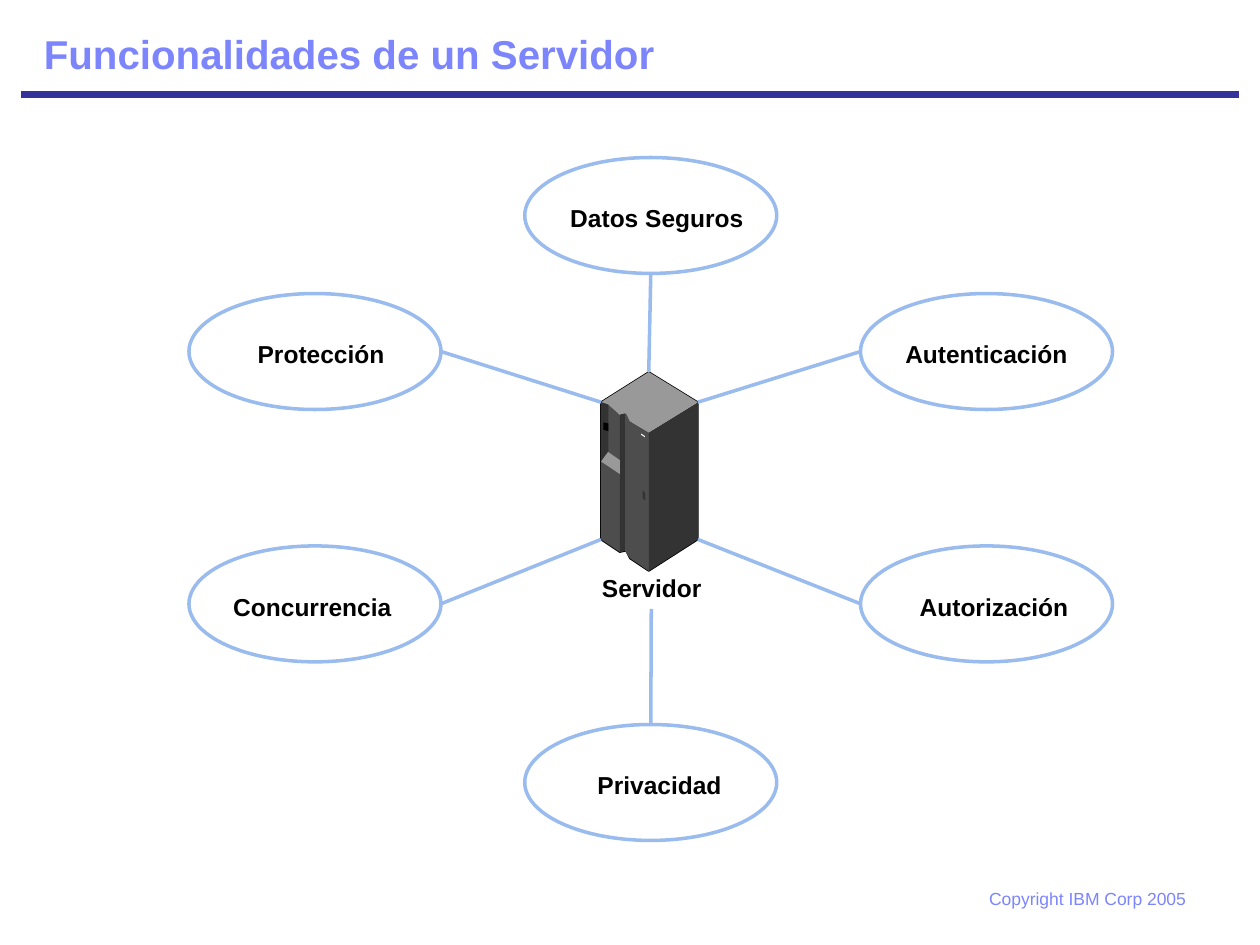
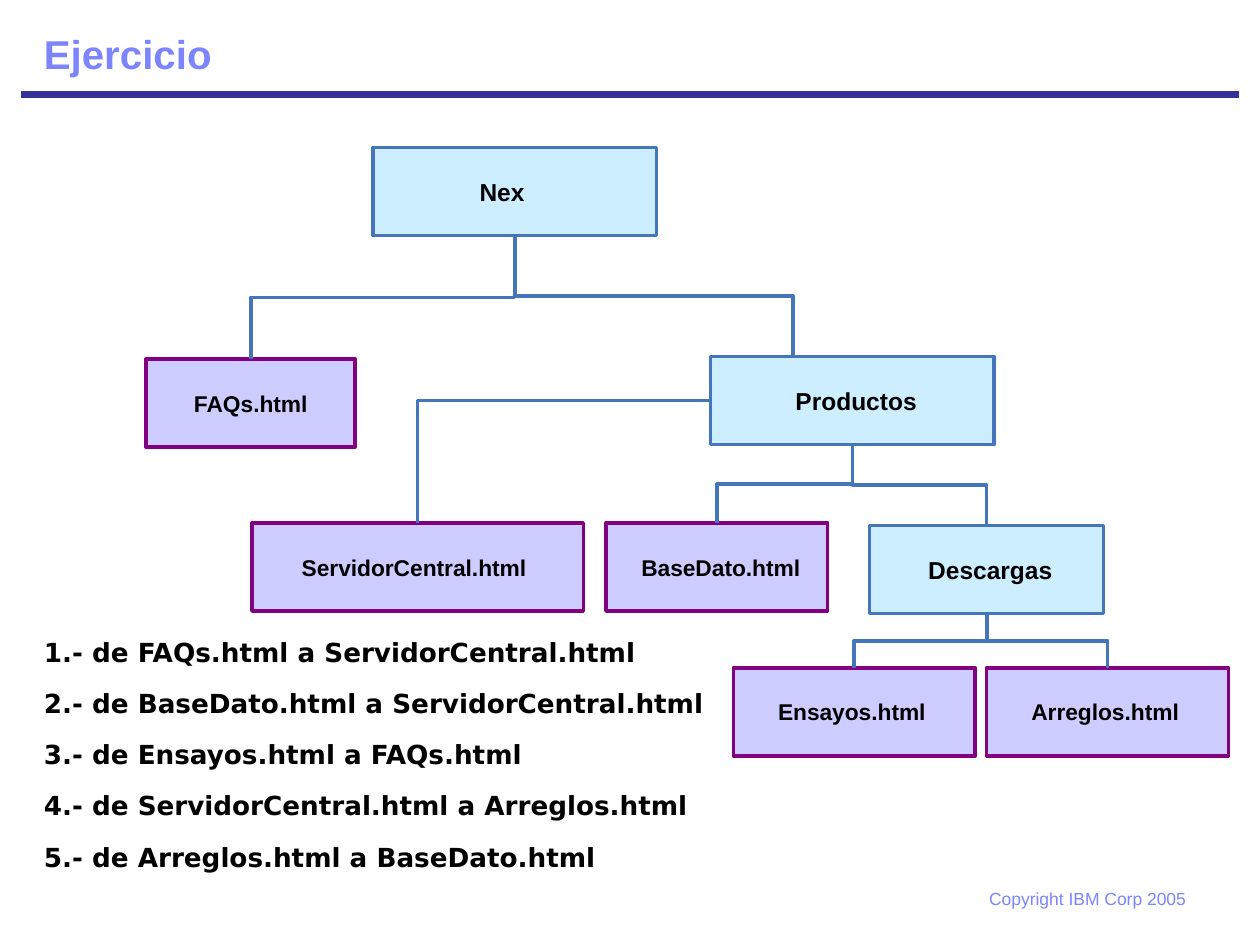
from lxml import etree
from pptx import Presentation
from pptx.dml.color import RGBColor
from pptx.enum.shapes import MSO_CONNECTOR, MSO_SHAPE
from pptx.enum.text import MSO_ANCHOR, PP_ALIGN
from pptx.oxml.ns import qn
from pptx.util import Inches, Pt

LEFT, CENTER, RIGHT = PP_ALIGN.LEFT, PP_ALIGN.CENTER, PP_ALIGN.RIGHT
TOP, MIDDLE = MSO_ANCHOR.TOP, MSO_ANCHOR.MIDDLE
RECT, OVAL = MSO_SHAPE.RECTANGLE, MSO_SHAPE.OVAL
STRAIGHT, ELBOW = MSO_CONNECTOR.STRAIGHT, MSO_CONNECTOR.ELBOW

# The slide is a grid of 100 columns by 75 rows
WIDTH, HEIGHT = Inches(10), Inches(7.5)
COL, ROW = WIDTH / 100, HEIGHT / 75

SANS, WIDE = "Arial", "DejaVu Sans"
COLORS = {
    "title": "7C85FC", "rule": "333399", "text": "000000", "white": "FFFFFF",
    "spoke": "99BBEE", "edge": "4575BB", "folder": "CCEEFF",
    "page": "CCCCFF", "plum": "800080",
    "front": "4D4D4D", "side": "333333", "top": "999999",
}


def color(name):
    return RGBColor.from_string(COLORS[name])


def spot(x, y):
    return round(x * COL), round(y * ROW)


def area(x, y, w, h):
    return *spot(x, y), *spot(w, h)


def style(shape, fill=None, line=None, width=2.0):
    shape.shadow.inherit = False
    if fill:
        shape.fill.solid()
        shape.fill.fore_color.rgb = color(fill)
    else:
        shape.fill.background()
    if line:
        shape.line.color.rgb = color(line)
        shape.line.width = Pt(width)
    else:
        shape.line.fill.background()


def write(para, text, size, tint="text", bold=True, face=SANS, align=LEFT):
    para.text = text
    para.alignment = align
    font = para.font
    font.name, font.size, font.bold = face, Pt(size), bold
    font.color.rgb = color(tint)


def frame(slide, box, wrap=True, anchor=TOP):
    body = slide.shapes.add_textbox(*area(*box)).text_frame
    body.word_wrap = wrap
    body.vertical_anchor = anchor
    return body


def node(slide, kind, box, text, size, fill, line, shift=0.0, drop=0.0):
    """Labelled shape; shift and drop move the label off the middle."""
    shape = slide.shapes.add_shape(kind, *area(*box))
    style(shape, fill, line)
    body = shape.text_frame
    body.word_wrap = False
    body.vertical_anchor = MIDDLE
    body.margin_left = round(max(0, 2 * shift) * COL)
    body.margin_right = round(max(0, -2 * shift) * COL)
    body.margin_top = round(2 * drop * ROW)
    body.margin_bottom = 0
    write(body.paragraphs[0], text, size, align=CENTER)
    return shape


def link(slide, start, end, tint, width=2.0, kind=STRAIGHT):
    line = slide.shapes.add_connector(kind, *start, *end)
    line.line.color.rgb = color(tint)
    line.line.width = Pt(width)
    etree.SubElement(line.element.spPr, qn("a:effectLst"))
    return line


def outline(slide, origin, points, fill=None, line=None):
    x, y = origin
    first, *rest = [spot(x + dx, y + dy) for dx, dy in points]
    pen = slide.shapes.build_freeform(*first)
    pen.add_line_segments(rest, close=bool(fill))
    style(pen.convert_to_shape(), fill, line, 0.88)


def base(deck, title):
    """Blank slide with the shared title, rule and footer."""
    slide = deck.slides.add_slide(deck.slide_layouts[6])
    link(slide, spot(1.7, 7.5), spot(98.3, 7.5), "rule", 4.5)
    foot = frame(slide, (77.5, 70, 17.6, 2.7), wrap=False)
    write(foot.paragraphs[0], "Copyright IBM Corp 2005", 10, "title", False,
          align=RIGHT)
    head = frame(slide, (2.5, 1.7, 69.2, 5), anchor=MIDDLE)
    write(head.paragraphs[0], title, 23, "title")
    return slide


# Faces of the server cabinet, measured from its top left corner
CASE = [(3.8, 0), (7.7, 2.4), (7.7, 13.3), (3.8, 15.8), (2.3, 14.8),
        (2, 14.2), (1.5, 14.3), (0, 13.3), (0, 2.4), (3.8, 0)]
FACES = [
    ("front", [(3.8, 4.8), (2.3, 3.9), (2, 3.2), (1.5, 3.4), (0.7, 2.5),
               (0, 2.4), (0, 13.3), (1.5, 14.3), (1.9, 14.2), (2.3, 14.8),
               (3.8, 15.8)]),
    ("side", [(7.7, 2.4), (3.8, 4.8), (3.8, 15.8), (7.7, 13.3)]),
    ("side", [(3.5, 9.6), (3.3, 9.4), (3.3, 10), (3.5, 10.2)]),
    ("white", [(3.5, 5.1), (3.2, 4.9), (3.2, 5), (3.5, 5.2)]),
    ("top", [(2.3, 3.9), (3.8, 4.8), (7.7, 2.4), (3.8, 0), (0, 2.4),
             (0.6, 2.6), (1.5, 3.4), (2, 3.3)]),
    ("side", [(1.9, 3.3), (1.5, 3.4), (1.5, 14.3), (1.9, 14.2)]),
    ("top", [(1.5, 8.1), (1.5, 7), (0.5, 6.3), (0, 7.1)]),
    ("side", [(0, 2.4), (0, 7.1), (0.6, 6.3), (0.6, 2.6)]),
    ("text", [(0.6, 4.7), (0.6, 4.1), (0.2, 4), (0.2, 4.6)]),
]


def server(slide, origin):
    x, y = origin
    outline(slide, origin, CASE, line="text")
    for fill, points in FACES:
        outline(slide, origin, points, fill)
    label = frame(slide, (x - 0.9, y + 15.5, 9.9, 3.4), wrap=False)
    write(label.paragraphs[0], "Servidor", 14)


# Label, column, row, label shift, side met by the spoke, spoke start
# (column and row are shares of the free room, starts are on the cabinet)
ROLES = [
    ("Autenticación", 1, 0.24, 0, (0, 0.5), (7.7, 2.4)),
    ("Datos Seguros", 0.5, 0, 0.5, (0.5, 1), (3.8, 0)),
    ("Protección", 0, 0.24, 0.5, (1, 0.5), (0, 2.4)),
    ("Autorización", 1, 0.685, 0.6, (0, 0.5), (7.7, 13.3)),
    ("Privacidad", 0.5, 1, 0.7, (0.5, 0), (4, 18.8)),
    ("Concurrencia", 0, 0.685, -0.2, (1, 0.5), (0, 13.3)),
]


def wheel(slide, box):
    """Server in the middle with six functions around it."""
    left, top, wide, high = box
    w, h = 20, 9.2
    hub = left + 0.446 * wide, top + 0.314 * high
    server(slide, hub)
    for text, col, row, shift, side, start in ROLES:
        x, y = left + col * (wide - w), top + row * (high - h)
        node(slide, OVAL, (x, y, w, h), text, 14, "white", "spoke", shift, 0.2)
        link(slide, spot(hub[0] + start[0], hub[1] + start[1]),
             spot(x + side[0] * w, y + side[1] * h), "spoke")


# Label, column, row, width, label shift
FOLDERS = [
    ("Nex", 18, 0, 22.5, -1),
    ("Productos", 44.8, 16.6, 22.5, 0.3),
    ("Descargas", 57.4, 30, 18.6, 0.3),
]
PAGES = [
    ("FAQs.html", 0, 16.8, 16.6, 0),
    ("ServidorCentral.html", 8.4, 29.8, 26.3, -0.3),
    ("BaseDato.html", 36.5, 29.8, 17.6, 0.3),
    ("Ensayos.html", 46.6, 41.3, 19.2, -0.2),
    ("Arreglos.html", 66.7, 41.3, 19.2, -0.2),
]
# Parent, child, where the branch meets the child's top edge, line width
BRANCHES = [
    ("Nex", "FAQs.html", 0.5, 2),
    ("Nex", "Productos", 0.29, 2),
    ("Productos", "BaseDato.html", 0.5, 2),
    ("Productos", "Descargas", 0.5, 2),
    ("Descargas", "Ensayos.html", 0.5, 2.25),
    ("Descargas", "Arreglos.html", 0.5, 2.25),
]


def branch(slide, top, low, share, width):
    """Elbow that leaves downwards from top and enters low from above."""
    x1, y1 = top.left + top.width // 2, top.top + top.height
    x2, y2 = low.left + round(low.width * share), low.top
    line = link(slide, (x1, y1), (x2, y2), "edge", width, ELBOW)
    if share == 0.5:
        line.begin_connect(top, 2)
        line.end_connect(low, 0)
    # A vertical start needs the elbow turned by a quarter
    wide, high = y2 - y1, abs(x2 - x1)
    line.left, line.top = (x1 + x2 - wide) // 2, (y1 + y2 - high) // 2
    line.width, line.height = wide, high
    turn = line.element.spPr.find(qn("a:xfrm"))
    for flip in ("flipH", "flipV"):
        turn.attrib.pop(flip, None)
    turn.set("rot", str((90 if x2 < x1 else 270) * 60000))
    if x2 > x1:
        turn.set("flipH", "1")


def tree(slide, box):
    """Site map of folders and pages."""
    left, top = box[:2]
    nodes = {}
    for group, size, fill, edge in ((FOLDERS, 14, "folder", "edge"),
                                    (PAGES, 13, "page", "plum")):
        for text, x, y, w, shift in group:
            nodes[text] = node(slide, RECT, (left + x, top + y, w, 7), text,
                               size, fill, edge, shift)
    for above, below, share, width in BRANCHES:
        branch(slide, nodes[above], nodes[below], share, width)
    # Single bend from the side of one folder
    above, below = nodes["Productos"], nodes["ServidorCentral.html"]
    bend = link(slide, (above.left, above.top + above.height // 2),
                (below.left + below.width // 2, below.top), "edge", kind=ELBOW)
    bend.begin_connect(above, 1)
    bend.end_connect(below, 0)
    bend.element.spPr.find(qn("a:prstGeom")).set("prst", "bentConnector2")


ROUTES = [
    ("FAQs", "ServidorCentral"),
    ("BaseDato", "ServidorCentral"),
    ("Ensayos", "FAQs"),
    ("ServidorCentral", "Arreglos"),
    ("Arreglos", "BaseDato"),
]


def tasks(slide, box):
    body = frame(slide, box)
    for i, (start, end) in enumerate(ROUTES):
        para = body.add_paragraph() if i else body.paragraphs[0]
        write(para, f"{i + 1}.- de {start}.html a {end}.html", 15, face=WIDE)
        para.space_before = Pt(5.6 if i else 0)
        para.space_after = Pt(5.6)


def main():
    deck = Presentation()
    deck.slide_width, deck.slide_height = WIDTH, HEIGHT
    wheel(base(deck, "Funcionalidades de un Servidor"),
          (15, 12.5, 73.3, 54.2))
    slide = base(deck, "Ejercicio")
    tasks(slide, (2.5, 50, 60.8, 19.8))
    tree(slide, (11.6, 11.7, 85.9, 48.3))
    deck.save("out.pptx")


if __name__ == "__main__":
    main()
